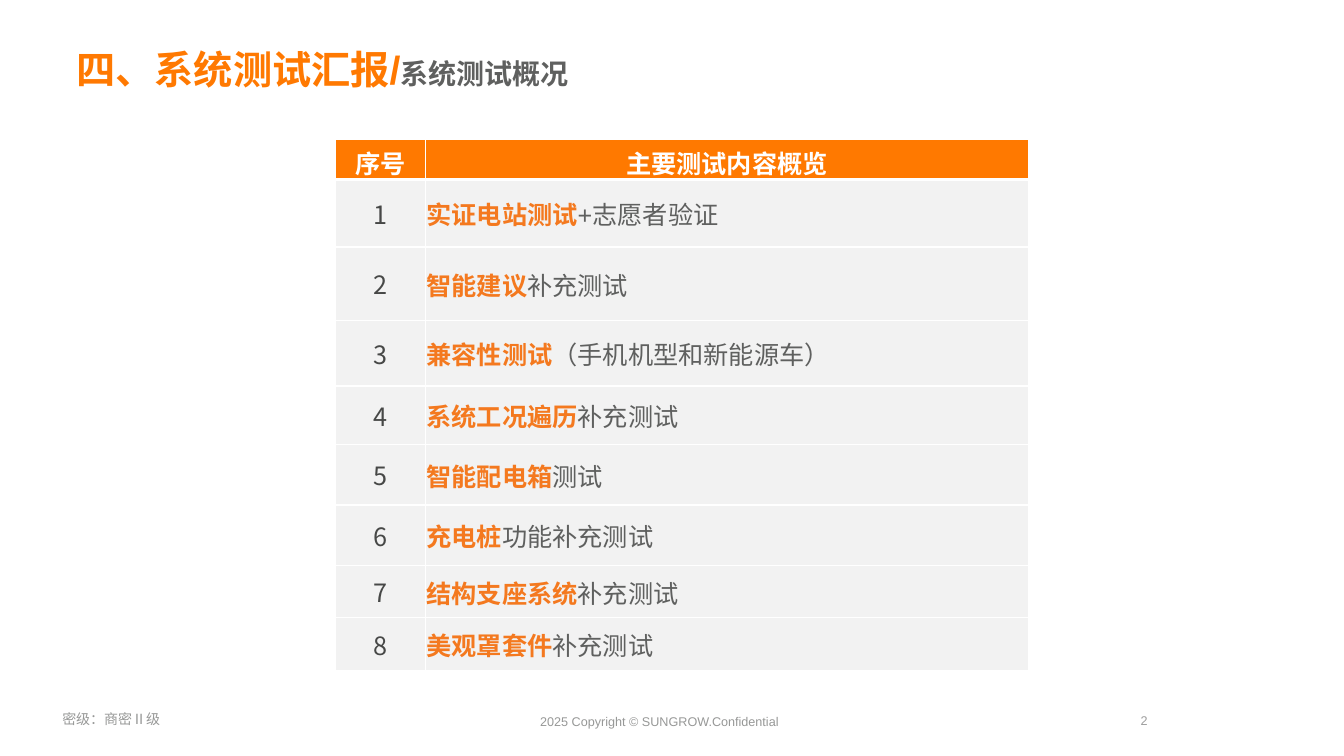
import pptx
import pptx.util
import pptx.dml.color
import pptx.enum.text
import pptx.oxml.ns
from dataclasses import dataclass
from lxml import etree

ALIGN = pptx.enum.text.PP_ALIGN
ANCHOR = pptx.enum.text.MSO_ANCHOR
AUTO_SIZE = pptx.enum.text.MSO_AUTO_SIZE


@dataclass(frozen=True)
class Theme:
    latin: str = "Arial"
    chinese: str = "Noto Sans CJK SC"
    orange: str = "FF7901"
    header_fill: str = "FF7900"
    highlight: str = "F4791F"
    body: str = "5F605F"
    number: str = "474847"
    footer: str = "979897"
    page: str = "9D9D9D"
    row_fill: str = "F2F2F2"
    white: str = "FFFFFF"
    title_size: int = 28
    subtitle_size: int = 20
    table_size: int = 18
    secrecy_size: int = 10
    footer_size: int = 9
    rule: int = 1
    header_rule: int = 3


THEME = Theme()
WIDTH = pptx.util.Inches(13.33)
HEIGHT = pptx.util.Inches(7.5)

# Shares of the slide's width and height, in percent
COLUMNS = [6.68, 44.86]
ROWS = [4.53, 8.93, 9.73, 8.67, 7.73, 8, 8, 6.93, 6.93]
TABLE_LEFT, TABLE_TOP = 24.98, 18.4

HEADINGS = ["序号", "主要测试内容概览"]
TESTS = [
    ("实证电站测试", "+志愿者验证"),
    ("智能建议", "补充测试"),
    ("兼容性测试", "（手机机型和新能源车）"),
    ("系统工况遍历", "补充测试"),
    ("智能配电箱", "测试"),
    ("充电桩", "功能补充测试"),
    ("结构支座系统", "补充测试"),
    ("美观罩套件", "补充测试"),
]


def across(share):
    return round(WIDTH * share / 100)


def down(share):
    return round(HEIGHT * share / 100)


def apply_format(target, values):
    for name, value in values.items():
        setattr(target, name, value)


def write(paragraph, text, size, color, bold=False, font=THEME.latin):
    run = paragraph.add_run()
    run.text = text
    run.font.color.rgb = pptx.dml.color.RGBColor.from_string(color)
    apply_format(run.font, {"size": pptx.util.Pt(size), "bold": bold, "name": font})
    east_asian = etree.SubElement(run.font._element, pptx.oxml.ns.qn("a:ea"))
    east_asian.set("typeface", THEME.chinese)


def add_label(slide, left, top, width, height, **frame_format):
    """Add an empty text box placed by slide shares and return its paragraph."""
    frame = slide.shapes.add_textbox(
        across(left), down(top), across(width), down(height)).text_frame
    apply_format(frame, {"word_wrap": True, **frame_format})
    return frame.paragraphs[0]


def add_borders(cell, top, bottom):
    properties = cell._tc.get_or_add_tcPr()
    for side, weight in zip("LRTB", (THEME.rule, THEME.rule, top, bottom)):
        line = etree.SubElement(properties, pptx.oxml.ns.qn(f"a:ln{side}"),
                                w=str(pptx.util.Pt(weight)))
        fill = etree.SubElement(line, pptx.oxml.ns.qn("a:solidFill"))
        etree.SubElement(fill, pptx.oxml.ns.qn("a:srgbClr"), val=THEME.white)


def style_cell(cell, row, centred):
    """Set borders, fill, margins and alignment, and return the paragraph."""
    add_borders(cell,
                THEME.header_rule if row == 1 else THEME.rule,
                THEME.header_rule if row == 0 else THEME.rule)
    cell.fill.solid()
    cell.fill.fore_color.rgb = pptx.dml.color.RGBColor.from_string(
        THEME.row_fill if row else THEME.header_fill)
    margins = (0.1, 0.05, 0.1, 0.05) if centred else (0.01, 0.01, 0.01, 0)
    sides = ("margin_left", "margin_top", "margin_right", "margin_bottom")
    apply_format(cell, dict(zip(sides, map(pptx.util.Inches, margins))))
    cell.vertical_anchor = ANCHOR.MIDDLE
    paragraph = cell.text_frame.paragraphs[0]
    paragraph.alignment = ALIGN.CENTER if centred else ALIGN.LEFT
    return paragraph


def add_test_table(slide):
    table = slide.shapes.add_table(
        len(ROWS), len(COLUMNS), across(TABLE_LEFT), down(TABLE_TOP),
        across(sum(COLUMNS)), down(sum(ROWS))).table
    for column, share in zip(table.columns, COLUMNS):
        column.width = across(share)
    for row, share in zip(table.rows, ROWS):
        row.height = down(share)

    size = THEME.table_size
    for column, heading in enumerate(HEADINGS):
        write(style_cell(table.cell(0, column), 0, True), heading,
              size, THEME.white, True, THEME.chinese)
    for row, (subject, detail) in enumerate(TESTS, start=1):
        write(style_cell(table.cell(row, 0), row, True), str(row),
              size, THEME.number, font=THEME.chinese)
        content = style_cell(table.cell(row, 1), row, False)
        write(content, subject, size, THEME.highlight, True)
        write(content, detail, size, THEME.body)


def add_title(slide):
    title = add_label(slide, 4.95, 6, 90.1, 7.07)
    title.line_spacing = 0.9
    write(title, "四、系统测试汇报/", THEME.title_size, THEME.orange, True)
    write(title, "系统测试概况", THEME.subtitle_size, THEME.body, True)


def add_footer(slide):
    rights = add_label(slide, 39.46, 93.73, 20.41, 3.33,
                       auto_size=AUTO_SIZE.SHAPE_TO_FIT_TEXT)
    write(rights, "2025 Copyright © SUNGROW.Confidential",
          THEME.footer_size, THEME.footer)
    secrecy = add_label(slide, 3.9, 93.33, 8.85, 3.6, word_wrap=False,
                        auto_size=AUTO_SIZE.SHAPE_TO_FIT_TEXT)
    write(secrecy, "密级：商密Ⅱ级", THEME.secrecy_size, THEME.footer)
    page = add_label(slide, 73.44, 92.67, 12.68, 5.33,
                     vertical_anchor=ANCHOR.MIDDLE)
    page.alignment = ALIGN.RIGHT
    write(page, "2", THEME.footer_size, THEME.page)


def main():
    deck = pptx.Presentation()
    apply_format(deck, {"slide_width": WIDTH, "slide_height": HEIGHT})
    slide = deck.slides.add_slide(deck.slide_layouts[6])
    add_footer(slide)
    add_title(slide)
    add_test_table(slide)
    deck.save("out.pptx")


if __name__ == "__main__":
    main()
